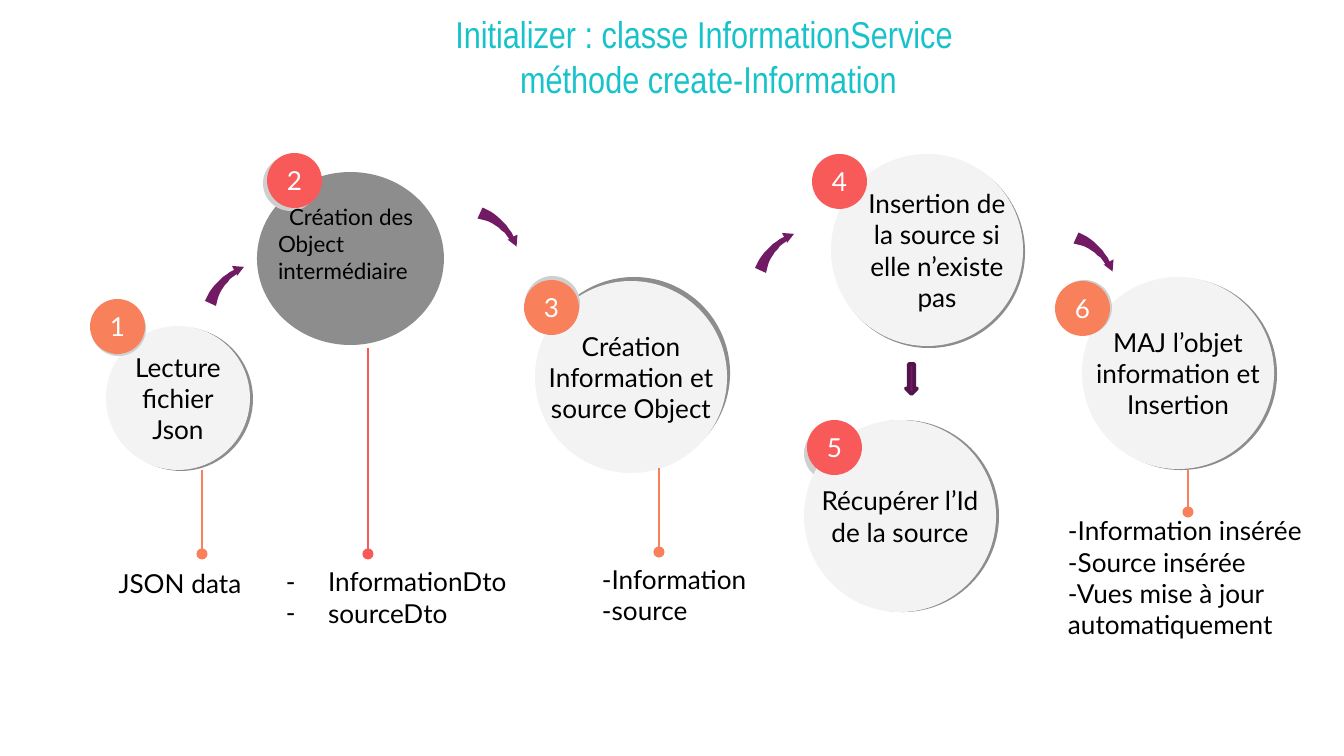
from dataclasses import dataclass

from lxml.etree import SubElement
from pptx import Presentation
from pptx.dml.color import RGBColor
from pptx.enum.shapes import MSO_CONNECTOR, MSO_SHAPE
from pptx.enum.text import MSO_ANCHOR, MSO_AUTO_SIZE, PP_ALIGN
from pptx.oxml.ns import qn
from pptx.util import Pt

EMU_PER_PX = 914400 / 134.4


@dataclass(frozen=True)
class Theme:
    title_font: str = "Arial Narrow"
    body_font: str = "Lato"
    title_size: int = 20
    body_size: int = 14
    small_size: int = 12
    title: str = "17C2CB"
    text: str = "000000"
    white: str = "FFFFFF"
    red: str = "F85A5A"
    orange: str = "F8805A"
    disc: str = "F3F3F3"
    disc_shadow: str = "8D8D8D"
    badge_shadow: str = "CFCFCF"
    arrow: str = "721B65"
    arrow_line: str = "54144B"


THEME = Theme()
BADGE_SIZE = 55
INSET = 13

TITLE = "Initializer : classe InformationService \vméthode create-Information"
TITLE_BOX = (202, 11, 1013, 90)

# disc: left, top, diameter; offsets: x, y from the disc or badge to its shadow;
# label_shift: px to the right, keeping the label clear of the badge
STEPS = [
    dict(number="1", label="Lecture\vfichier\vJson", color=THEME.orange,
         disc=(106, 326, 144), disc_offset=(3, 1), badge=(90, 299), badge_offset=(1, 2)),
    dict(number="3", label="Création\vInformation et\vsource Object", color=THEME.orange,
         disc=(535, 281, 192), disc_offset=(3, -4), badge=(524, 280), badge_offset=(1, -4)),
    dict(number="4", label="Insertion de\vla source si\velle n’existe\vpas", color=THEME.red,
         disc=(831, 154, 192), disc_offset=(2, 2), badge=(812, 154), label_shift=10),
    dict(number="5", label="Récupérer l’Id\vde la source", color=THEME.red,
         disc=(804, 420, 192), disc_offset=(3, 0), badge=(807, 420), badge_offset=(-3, 6),
         badge_shadow_behind=True),
    dict(number="6", label="MAJ l’objet\vinformation et\nInsertion", color=THEME.orange,
         disc=(1082, 277, 192), disc_offset=(3, 1), badge=(1055, 281), badge_offset=(2, -1)),
]
DARK_DISC = (257, 172, 187, 173)
DARK_LABEL = ("Création des Object intermédiaire", (265, 196, 181, 95))
DARK_BADGE = dict(number="2", color=THEME.red, badge=(267, 153), badge_offset=(-4, 3))

# text, box, alignment, dash bullets
NOTES = [
    ("JSON data", (77, 554, 206, 59), PP_ALIGN.CENTER, False),
    ("InformationDto\nsourceDto", (273, 558, 261, 78), PP_ALIGN.LEFT, True),
    ("-Information\n-source", (589, 565, 200, 59), PP_ALIGN.LEFT, False),
    ("-Information insérée\n-Source insérée\n-Vues mise à jour automatiquement",
     (1055, 519, 289, 117), PP_ALIGN.LEFT, False),
]

# x, bottom (with the dot), top, color
STEMS = [(202, 554, 470, THEME.orange), (368, 554, 348, THEME.red),
         (659, 552, 468, THEME.orange), (1188, 512, 470, THEME.orange)]

# left, top, rotation
CURVED_ARROWS = [(205, 266, 0), (478, 207, 90), (755, 233, 0), (1074, 232, 90)]
ARROW_TAIL = [(29, 4), (16, 11), (5, 22), (0, 35)]
ARROW_INNER = [(11, 40), (13, 27), (20, 16), (32, 8)]
ARROW_TIP = [(32, 10), (39, 1), (27, 0)]
DOWN_ARROW = (906, 364, 11, 30)


def px(*lengths):
    return [round(length * EMU_PER_PX) for length in lengths]


def rgb(color):
    return RGBColor.from_string(color)


def write(shape, text, color=THEME.text, size=THEME.body_size, font=THEME.body_font,
          alignment=PP_ALIGN.CENTER, wrap=True, bullets=False):
    frame = shape.text_frame
    frame.text = text
    frame.word_wrap = wrap
    frame.auto_size = MSO_AUTO_SIZE.NONE
    frame.vertical_anchor = MSO_ANCHOR.MIDDLE
    frame.margin_left = frame.margin_right = frame.margin_top = frame.margin_bottom = px(INSET)[0]
    for paragraph in frame.paragraphs:
        if bullets:
            add_dash(paragraph)
        paragraph.alignment = alignment
        paragraph.font.name = font
        paragraph.font.size = Pt(size)
        paragraph.font.color.rgb = rgb(color)


def add_dash(paragraph):
    properties = paragraph._p.get_or_add_pPr()
    indent = px(42)[0]
    properties.set("marL", str(indent))
    properties.set("indent", str(-indent))
    SubElement(properties, qn("a:buFont"), typeface=THEME.body_font)
    SubElement(properties, qn("a:buChar"), char="-")


def paint(shape, color):
    shape.shadow.inherit = False
    shape.fill.solid()
    shape.fill.fore_color.rgb = rgb(color)
    shape.line.fill.background()
    return shape


def add_oval(slide, left, top, width, height, color):
    return paint(slide.shapes.add_shape(MSO_SHAPE.OVAL, *px(left, top, width, height)), color)


def add_badge_shadow(slide, step):
    if "badge_offset" in step:
        left, top = (a + b for a, b in zip(step["badge"], step["badge_offset"]))
        add_oval(slide, left, top, BADGE_SIZE, BADGE_SIZE, THEME.badge_shadow)


def add_badge(slide, step):
    badge = add_oval(slide, *step["badge"], BADGE_SIZE, BADGE_SIZE, step["color"])
    write(badge, step["number"], THEME.white, wrap=False)


def add_step(slide, step):
    left, top, size = step["disc"]
    dx, dy = step["disc_offset"]
    behind = step.get("badge_shadow_behind", False)
    add_oval(slide, left + dx, top + dy, size, size, THEME.disc_shadow)
    if behind:
        add_badge_shadow(slide, step)
    add_oval(slide, left, top, size, size, THEME.disc)
    if not behind:
        add_badge_shadow(slide, step)
    add_badge(slide, step)
    label_left = left + step.get("label_shift", 0)
    label = slide.shapes.add_textbox(*px(label_left, top, size, size))
    write(label, step["label"], wrap=False)


def add_dark_step(slide):
    add_oval(slide, *DARK_DISC, THEME.disc_shadow)
    add_badge_shadow(slide, DARK_BADGE)
    add_badge(slide, DARK_BADGE)
    text, box = DARK_LABEL
    label = slide.shapes.add_textbox(*px(*box))
    write(label, text, size=THEME.small_size, alignment=PP_ALIGN.LEFT)
    label.text_frame.vertical_anchor = MSO_ANCHOR.TOP
    label.text_frame.margin_top = px(7)[0]
    label.text_frame.paragraphs[0]._p.get_or_add_pPr().set("indent", str(px(11)[0]))


def bezier(points, count=10):
    """Sample a cubic curve given by four control points."""
    for step in range(count + 1):
        t = step / count
        weights = ((1 - t) ** 3, 3 * t * (1 - t) ** 2, 3 * t ** 2 * (1 - t), t ** 3)
        yield tuple(sum(w * p[axis] for w, p in zip(weights, points)) for axis in (0, 1))


def add_curved_arrow(slide, left, top, rotation):
    outline = [*bezier(ARROW_TAIL), *bezier(ARROW_INNER), *ARROW_TIP]
    builder = slide.shapes.build_freeform(*outline[0], scale=EMU_PER_PX)
    builder.add_line_segments(outline[1:], close=True)
    arrow = paint(builder.convert_to_shape(*px(left, top)), THEME.arrow)
    arrow.rotation = rotation


def add_stem(slide, x, bottom, top, color):
    stem = slide.shapes.add_connector(MSO_CONNECTOR.STRAIGHT, *px(x, bottom, x, top))
    stem.line.color.rgb = rgb(color)
    stem.line.width = Pt(1.5)
    SubElement(stem.line._get_or_add_ln(), qn("a:headEnd"), type="oval")
    SubElement(stem._element.spPr, qn("a:effectLst"))


def main():
    presentation = Presentation()
    presentation.slide_width, presentation.slide_height = px(1344, 756)
    slide = presentation.slides.add_slide(presentation.slide_layouts[5])

    title = slide.shapes.title
    title.left, title.top, title.width, title.height = px(*TITLE_BOX)
    title.line.color.rgb = rgb(THEME.white)
    title.line.width = Pt(0.75)
    write(title, TITLE, THEME.title, THEME.title_size, THEME.title_font)

    for step in STEPS:
        add_step(slide, step)
    add_dark_step(slide)
    for arrow in CURVED_ARROWS:
        add_curved_arrow(slide, *arrow)
    for stem in STEMS:
        add_stem(slide, *stem)
    for text, box, alignment, bullets in NOTES:
        write(slide.shapes.add_textbox(*px(*box)), text, alignment=alignment, bullets=bullets)

    down_arrow = paint(slide.shapes.add_shape(MSO_SHAPE.DOWN_ARROW, *px(*DOWN_ARROW)), THEME.arrow)
    down_arrow.line.color.rgb = rgb(THEME.arrow_line)
    down_arrow.line.width = Pt(2)
    presentation.save("out.pptx")


if __name__ == "__main__":
    main()
